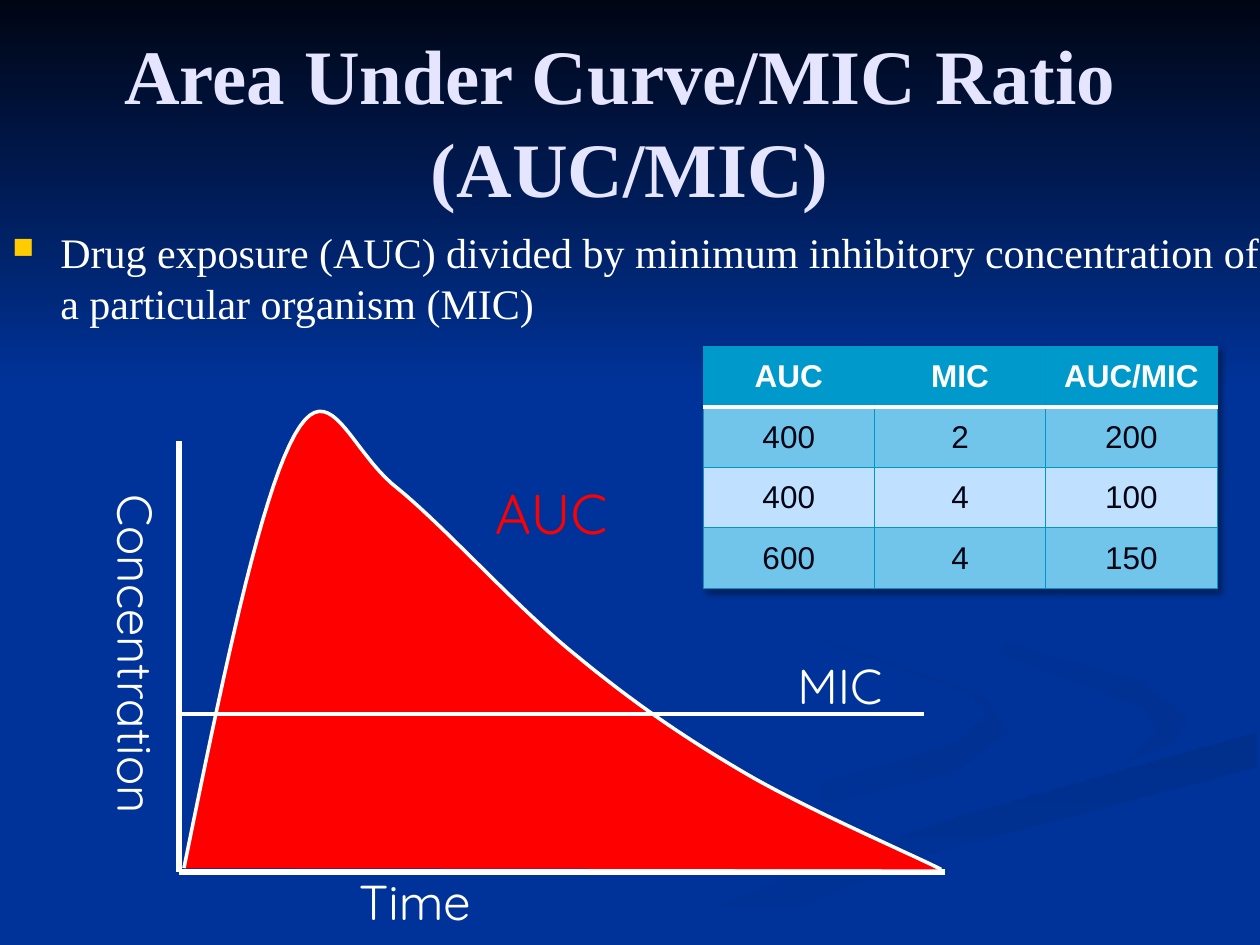
from dataclasses import dataclass

import lxml.etree
import pptx
import pptx.dml.color
import pptx.enum.shapes
import pptx.enum.text
import pptx.oxml
import pptx.oxml.ns
import pptx.util

Inches = pptx.util.Inches
Pt = pptx.util.Pt
qn = pptx.oxml.ns.qn
PP_ALIGN = pptx.enum.text.PP_ALIGN
MSO_ANCHOR = pptx.enum.text.MSO_ANCHOR
NAVY, NIGHT, WHITE, RED = "003399", "000514", "FFFFFF", "FF0000"
SERIF, SANS, LABEL = "Times New Roman", "Arial", "Quicksand"
Point = tuple[float, float]


@dataclass
class Ribbon:
    points: list[Point]
    start: str
    end: str
    angle: int


@dataclass
class Text:
    text: str
    box: tuple[float, float, float, float]
    size: int
    font: str = LABEL
    color: str = WHITE
    bold: bool = False
    wrap: bool = False
    vert: str = "horz"


@dataclass
class Axis:
    start: Point
    end: Point
    width: float


RIBBONS = [
    Ribbon([(7.81, 5.53), (7.15, 5.28), (6.02, 4.9), (5.75, 4.6), (5.93, 4.91), (6.97, 5.25),
            (7.7, 5.51), (7.86, 5.66), (7.59, 5.9), (6.52, 6.2), (6.51, 6.4), (7.56, 6.14),
            (8, 5.81)], NAVY, "003193", 0),
    Ribbon([(9.43, 5.7), (9.05, 5.4), (7.58, 4.98), (7.24, 4.64), (7.55, 5.05), (8.38, 5.36),
            (9.07, 5.62), (9.18, 5.81), (8.94, 6.05), (9.32, 5.89)], NAVY, "003193", 45),
    Ribbon([(5.03, 7.49), (5.71, 7.49), (7.22, 6.82), (9.98, 6.09), (9.98, 5.81), (7.64, 6.47),
            (6.3, 6.93)], "002F8C", NAVY, 90),
    Ribbon([(0, 0), (0, 3.08), (10, 3.08), (10, 0)], NIGHT, NAVY, 90),
]
CURVE = [(1.46, 6.89), (1.76, 5.42), (2.06, 3.95), (2.34, 3.45), (2.62, 2.95), (2.78, 3.59),
         (3.16, 3.88), (3.53, 4.18), (4.11, 4.83), (4.57, 5.2), (5.03, 5.58), (5.44, 5.86),
         (5.92, 6.14), (6.4, 6.42), (7.21, 6.77), (7.47, 6.9)]
AXES = [Axis((1.42, 3.5), (1.42, 6.92), 3), Axis((1.42, 6.92), (7.5, 6.92), 3)]
MIC_LINE = Axis((1.42, 5.67), (7.33, 5.67), 2.25)
TITLE = Text("Area Under Curve/MIC Ratio \v(AUC/MIC)", (0, 0.33, 10, 1.25), 44, SERIF,
             "E5E5FF", bold=True, wrap=True)
BODY = Text("Drug exposure (AUC) divided by minimum inhibitory concentration of a particular "
            "organism (MIC)", (0, 1.75, 10.25, 1), 24, SERIF, wrap=True)
LABELS = [
    Text("Time", (2.75, 6.87, 1.43, 0.57), 28, wrap=True),
    Text("Concentration", (0.7, 3.83, 0.67, 2.87), 28, vert="eaVert"),
    Text("MIC", (6.23, 5.15, 0.96, 0.57), 28),
    Text("AUC", (3.83, 3.75, 1.18, 0.63), 32, color=RED),
]
ROWS = [("AUC", "MIC", "AUC/MIC"), ("400", "2", "200"), ("400", "4", "100"), ("600", "4", "150")]
ROW_FILLS = ["0099CC", "72C5EA", "BFE1FF", "72C5EA"]


def rgb(color: str) -> pptx.dml.color.RGBColor:
    return pptx.dml.color.RGBColor.from_string(color)


def style(p, size: int, font: str, color: str, bold: bool = False) -> None:
    for r in p.runs:
        r.font.size, r.font.name, r.font.bold = Pt(size), font, bold
        r.font.color.rgb = rgb(color)


def add_outline(s, points: list[Point], close: bool = True):
    path = [(Inches(x), Inches(y)) for x, y in points]
    builder = s.shapes.build_freeform(*path[0])
    builder.add_line_segments(path[1:], close=close)
    sp = builder.convert_to_shape()
    sp.shadow.inherit = False
    return sp


def add_ribbon(s, ribbon: Ribbon) -> None:
    sp = add_outline(s, ribbon.points)
    sp.line.fill.background()
    sp.fill.gradient()
    sp.fill.gradient_angle = -ribbon.angle % 360
    for stop, color in zip(sp.fill.gradient_stops, (ribbon.start, ribbon.end)):
        stop.color.rgb = rgb(color)


def bezier(points: list[Point], steps: int = 20) -> list[Point]:
    path = [points[0]]
    for i in range(0, len(points) - 1, 3):
        for t in (n / steps for n in range(1, steps + 1)):
            weights = ((1 - t) ** 3, 3 * t * (1 - t) ** 2, 3 * t * t * (1 - t), t ** 3)
            path.append(tuple(sum(w * c for w, c in zip(weights, axis))
                              for axis in zip(*points[i:i + 4])))
    return path


def add_curve(s) -> None:
    sp = add_outline(s, bezier(CURVE), close=False)
    sp.fill.solid()
    sp.fill.fore_color.rgb = rgb(RED)
    sp.line.color.rgb = rgb(WHITE)
    sp.line.width = Pt(2)


def add_axis(s, axis: Axis) -> None:
    ends = [Inches(v) for v in axis.start + axis.end]
    line = s.shapes.add_connector(pptx.enum.shapes.MSO_CONNECTOR.STRAIGHT, *ends)
    line.line.color.rgb = rgb(WHITE)
    line.line.width = Pt(axis.width)
    lxml.etree.SubElement(line._element.spPr, qn("a:effectLst"))


def add_text(s, item: Text):
    tf = s.shapes.add_textbox(*map(Inches, item.box)).text_frame
    tf.word_wrap = item.wrap
    tf._txBody.bodyPr.set("vert", item.vert)
    tf.text = item.text
    style(tf.paragraphs[0], item.size, item.font, item.color, item.bold)
    return tf


def add_bullet(p) -> None:
    pPr = p._p.get_or_add_pPr()
    pPr.set("marL", str(Inches(0.38)))
    pPr.set("indent", str(Inches(-0.38)))
    color = lxml.etree.SubElement(pPr, qn("a:buClr"))
    lxml.etree.SubElement(color, qn("a:srgbClr"), val="FFCC00")
    lxml.etree.SubElement(pPr, qn("a:buSzPct"), val="70000")
    lxml.etree.SubElement(pPr, qn("a:buChar"), char="■")


def add_border(cell, side: str, color: str, width: float) -> None:
    ln = lxml.etree.Element(qn(f"a:{side}"), w=str(Pt(width)))
    fill = lxml.etree.SubElement(ln, qn("a:solidFill"))
    lxml.etree.SubElement(fill, qn("a:srgbClr"), val=color)
    tcPr = cell._tc.get_or_add_tcPr()
    tcPr.insert(len(tcPr.findall("*")) - 1, ln)


def add_ratio_table(s) -> None:
    frame = s.shapes.add_table(len(ROWS), 3, Inches(5.58), Inches(2.75), Inches(4.08), Inches(1.92))
    tblPr = frame.table._tbl.tblPr
    effects = lxml.etree.Element(qn("a:effectLst"))
    shadow = lxml.etree.SubElement(effects, qn("a:outerShdw"), blurRad=str(Pt(4)),
                                   dist=str(Pt(3)), dir="2700000")
    color = lxml.etree.SubElement(shadow, qn("a:srgbClr"), val="000000")
    lxml.etree.SubElement(color, qn("a:alpha"), val="40000")
    tblPr.insert(0, effects)
    for i, row in enumerate(ROWS):
        for j, value in enumerate(row):
            cell = frame.table.cell(i, j)
            cell.text = value
            cell.vertical_anchor = MSO_ANCHOR.MIDDLE
            cell.fill.solid()
            cell.fill.fore_color.rgb = rgb(ROW_FILLS[i])
            p = cell.text_frame.paragraphs[0]
            p.alignment = PP_ALIGN.CENTER
            style(p, 18, SANS, NIGHT if i else WHITE, i == 0)
            for side in ("lnL", "lnR", "lnT", "lnB"):
                header_edge = (i, side) in ((0, "lnB"), (1, "lnT"))
                add_border(cell, side, *((WHITE, 2) if header_edge else ("0096C8", 0.75)))


def main() -> None:
    """Build the AUC/MIC ratio slide."""
    prs = pptx.Presentation()
    prs.slide_width, prs.slide_height = Inches(10), Inches(7.5)
    s = prs.slides.add_slide(prs.slide_layouts[6])
    s.background.fill.solid()
    s.background.fill.fore_color.rgb = rgb(NAVY)
    for ribbon in RIBBONS:
        add_ribbon(s, ribbon)
    tf = add_text(s, TITLE)
    tf.vertical_anchor = MSO_ANCHOR.MIDDLE
    tf.paragraphs[0].alignment = PP_ALIGN.CENTER
    add_bullet(add_text(s, BODY).paragraphs[0])
    for axis in AXES:
        add_axis(s, axis)
    add_curve(s)
    add_axis(s, MIC_LINE)
    for label in LABELS:
        add_text(s, label)
    add_ratio_table(s)
    prs.save("out.pptx")


if __name__ == "__main__":
    main()
